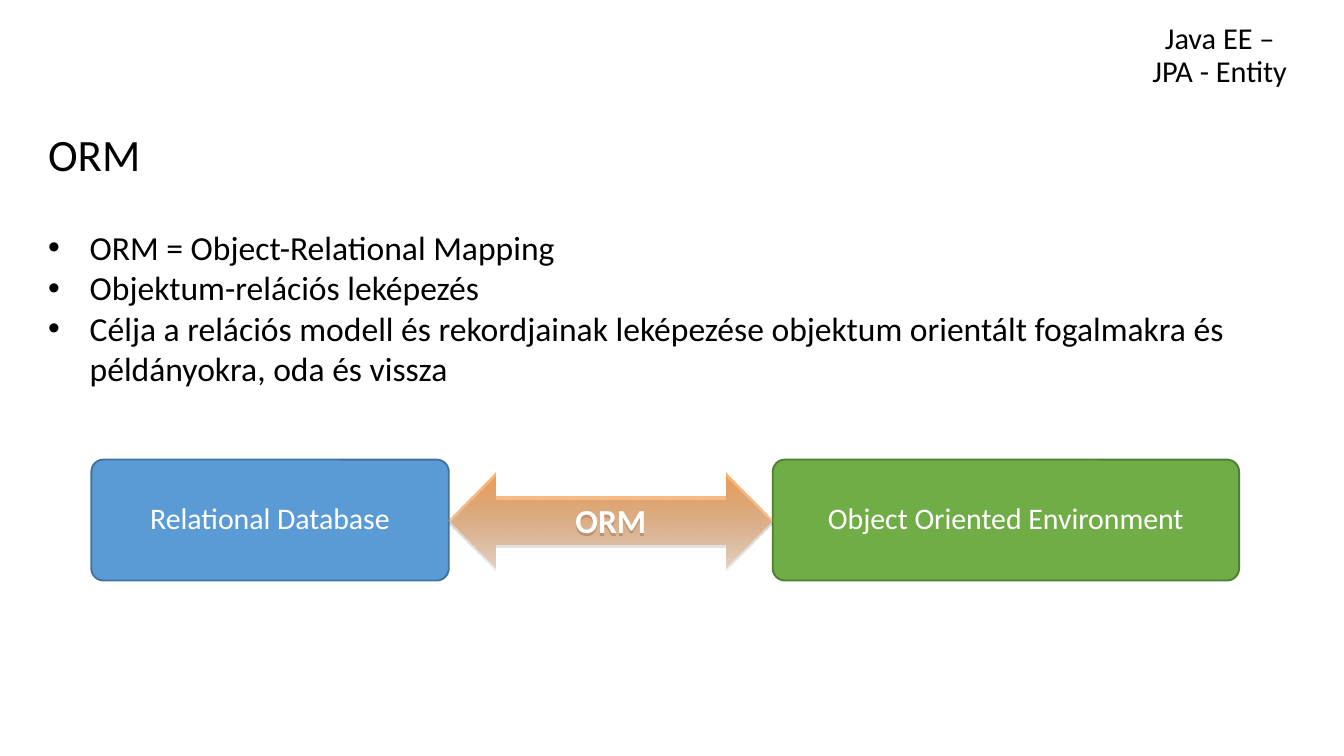
from dataclasses import dataclass, field
from typing import Any

from lxml.etree import SubElement
from pptx import Presentation
from pptx.dml.color import RGBColor as Rgb
from pptx.enum.shapes import MSO_SHAPE as Form
from pptx.enum.text import MSO_ANCHOR as Anchor, PP_ALIGN as Align
from pptx.oxml.ns import qn
from pptx.util import Inches, Pt


@dataclass(frozen=True)
class Theme:
    font: str = "Calibri"
    ink: str = "000000"
    white: str = "FFFFFF"
    blue: str = "5B9BD5"
    navy: str = "41719C"
    green: str = "70AD47"
    moss: str = "507E32"
    # Gradient stops: colour and opacity in percent, bottom to top
    fade: tuple = (("CB6C1D", 20), ("FF8F2A", 70))
    head: float = 16.2
    title: float = 24
    body: float = 18
    label: float = 16


@dataclass(frozen=True)
class Area:
    left: float
    top: float
    width: float
    height: float

    def lengths(self) -> list:
        return [Inches(v) for v in (self.left, self.top, self.width, self.height)]


@dataclass(frozen=True)
class Block:
    area: Area
    lines: tuple
    size: float
    anchor: Any = Anchor.TOP
    para: dict = field(default_factory=dict)
    bullet: bool = False


@dataclass(frozen=True)
class Node:
    area: Area
    label: str
    fill: str
    edge: str


THEME = Theme()
WIDTH = 10
HEIGHT = WIDTH * 9 / 16
INDENT = 0.31
TIGHT = {"line_spacing": 0.9}
MID = {"alignment": Align.CENTER}

# Headings and bullet list
BLOCKS = (
    Block(Area(8.23, 0.07, 1.69, 0.64), ("Java EE –\vJPA - Entity",), THEME.head,
          Anchor.BOTTOM, TIGHT | MID),
    Block(Area(0.26, 0.94, 9.43, 0.48), ("ORM",), THEME.title,
          para=TIGHT | {"space_before": Pt(10)}),
    Block(Area(0.26, 1.64, 9.43, 1.31), (
        "ORM = Object-Relational Mapping",
        "Objektum-relációs leképezés",
        "Célja a relációs modell és rekordjainak leképezése objektum "
        "orientált fogalmakra és példányokra, oda és vissza",
    ), THEME.body, bullet=True),
)

# Diagram: two boxes, with the arrow filling the gap between them
NODES = (
    Node(Area(0.68, 3.42, 2.66, 0.9), "Relational Database", THEME.blue, THEME.navy),
    Node(Area(5.75, 3.42, 3.47, 0.9), "Object Oriented Environment",
         THEME.green, THEME.moss),
)
ARROW = Area(3.34, 3.52, 2.41, 0.7)


def assign(obj: Any, values: dict) -> None:
    for name, value in values.items():
        setattr(obj, name, value)


def add_bullet(para: Any) -> None:
    props = para._p.get_or_add_pPr()
    props.set("marL", str(Inches(INDENT)))
    props.set("indent", str(-Inches(INDENT)))
    SubElement(props, qn("a:buFont"), typeface="Arial")
    SubElement(props, qn("a:buChar"), char="•")


def write(shape: Any, lines: tuple, size: float, color: str, anchor: Any,
          values: dict, bullet: bool = False, bold: bool = False) -> None:
    frame = shape.text_frame
    assign(frame, {"word_wrap": True, "vertical_anchor": anchor})
    for i, line in enumerate(lines):
        para = frame.add_paragraph() if i else frame.paragraphs[0]
        para.text = line
        assign(para, {"alignment": Align.LEFT} | values)
        if bullet:
            add_bullet(para)
        for run in para.runs:
            assign(run.font, {"name": THEME.font, "size": Pt(size), "bold": bold})
            run.font.color.rgb = Rgb.from_string(color)


def draw_block(slide: Any, block: Block) -> None:
    box = slide.shapes.add_textbox(*block.area.lengths())
    write(box, block.lines, block.size, THEME.ink, block.anchor,
          block.para, block.bullet)


def draw_node(slide: Any, node: Node) -> None:
    box = slide.shapes.add_shape(Form.ROUNDED_RECTANGLE, *node.area.lengths())
    box.adjustments[0] = 0.1
    box.shadow.inherit = False
    box.fill.solid()
    box.fill.fore_color.rgb = Rgb.from_string(node.fill)
    box.line.color.rgb = Rgb.from_string(node.edge)
    box.line.width = Pt(1)
    sides = ("left", "top", "right", "bottom")
    assign(box.text_frame, {f"margin_{side}": Inches(0.11) for side in sides})
    write(box, (node.label,), THEME.label, THEME.white, Anchor.MIDDLE,
          TIGHT | MID | {"space_after": Pt(8)})


def set_alpha(color: Any, percent: int) -> None:
    SubElement(color, qn("a:alpha"), val=str(percent * 1000))


def draw_arrow(slide: Any, area: Area, label: str) -> None:
    arrow = slide.shapes.add_shape(Form.LEFT_RIGHT_ARROW, *area.lengths())
    arrow.adjustments[0] = 0.51
    arrow.adjustments[1] = 0.5
    arrow.line.fill.background()

    # Fading fill
    arrow.fill.gradient()
    arrow.fill.gradient_angle = 90
    for stop, (color, _) in zip(arrow.fill.gradient_stops, THEME.fade):
        stop.color.rgb = Rgb.from_string(color)
    for tag, (_, alpha) in zip(arrow._element.spPr.iter(qn("a:srgbClr")), THEME.fade):
        set_alpha(tag, alpha)

    # Shadow straight below
    arrow.shadow.inherit = False
    effects = arrow._element.spPr.find(qn("a:effectLst"))
    shade = SubElement(effects, qn("a:outerShdw"), blurRad="0", dist=str(Pt(1.8)),
                       dir="5400000", rotWithShape="0")
    set_alpha(SubElement(shade, qn("a:srgbClr"), val=THEME.ink), 35)
    write(arrow, (label,), THEME.body, THEME.white, Anchor.MIDDLE, MID, bold=True)


def main() -> None:
    deck = Presentation()
    assign(deck, {"slide_width": Inches(WIDTH), "slide_height": Inches(HEIGHT)})
    slide = deck.slides.add_slide(deck.slide_layouts[6])
    for block in BLOCKS:
        draw_block(slide, block)
    for node in NODES:
        draw_node(slide, node)
    draw_arrow(slide, ARROW, "ORM")
    deck.save("out.pptx")


if __name__ == "__main__":
    main()
